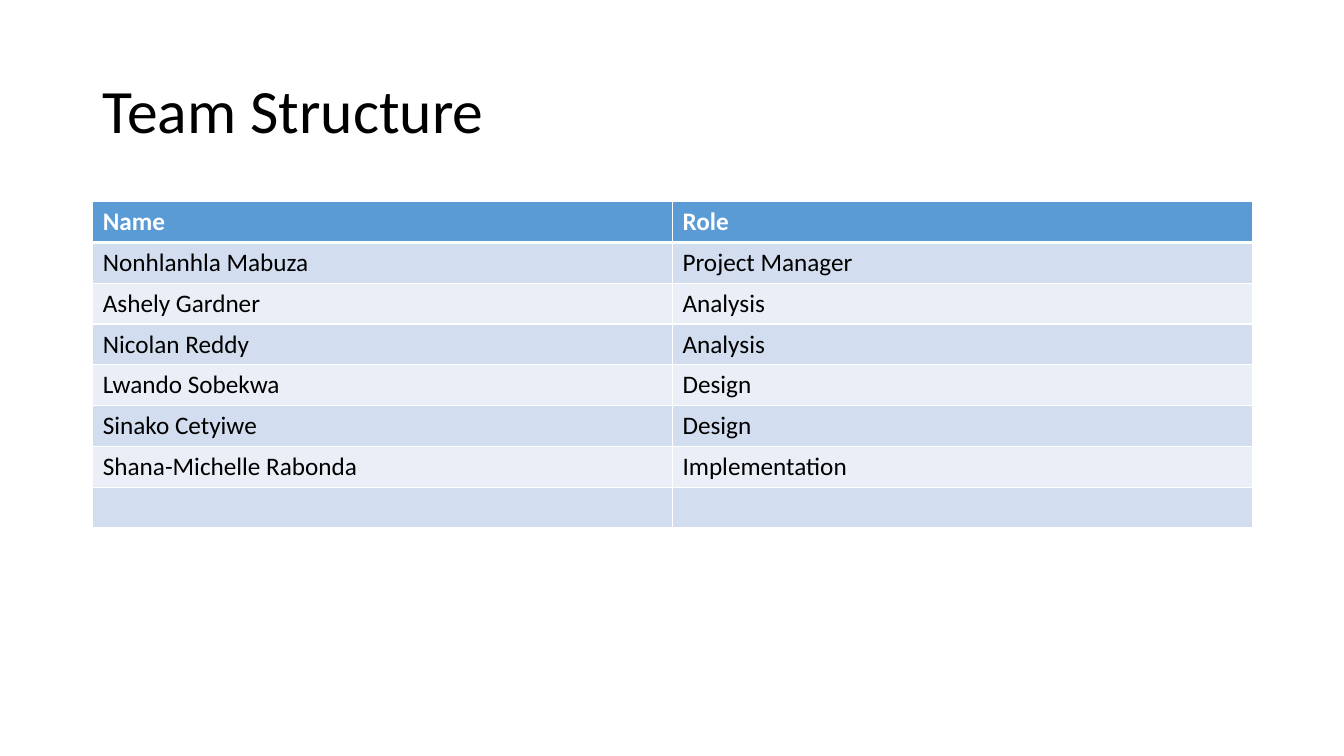
from lxml import etree
from pptx import Presentation
from pptx import util as u
from pptx.dml import color
from pptx.enum import text
from pptx.oxml import ns

FONT = "Calibri"
HUES = {
    "ink": "000000",
    "white": "FFFFFF",
    "head": "5B9BD5",
    "odd": "D2DEEF",
    "even": "EAEFF7",
}
TEAM = [
    ("Name", "Role"),
    ("Nonhlanhla Mabuza", "Project Manager"),
    ("Ashely Gardner", "Analysis"),
    ("Nicolan Reddy", "Analysis"),
    ("Lwando Sobekwa", "Design"),
    ("Sinako Cetyiwe", "Design"),
    ("Shana-Michelle Rabonda", "Implementation"),
    ("", ""),
]


def hue(name):
    return color.RGBColor.from_string(HUES[name])


def style(para, size, tint, bold=False):
    for font in [para.font] + [run.font for run in para.runs]:
        font.name = FONT
        font.size = u.Pt(size)
        font.bold = bold
        font.color.rgb = hue(tint)


def edge(cell, side, width):
    props = cell._tc.get_or_add_tcPr()
    line = etree.SubElement(props, ns.qn("a:ln" + side), w=str(u.Pt(width)))
    fill = etree.SubElement(line, ns.qn("a:solidFill"))
    etree.SubElement(fill, ns.qn("a:srgbClr"), val=HUES["white"])


def title(slide, left, top, width, height):
    box = slide.shapes.add_textbox(*map(u.Inches, (left, top, width, height)))
    frame = box.text_frame
    frame.word_wrap = True
    frame.vertical_anchor = text.MSO_ANCHOR.MIDDLE
    frame.text = "Team Structure"
    para = frame.paragraphs[0]
    para.line_spacing = 0.9
    style(para, 44, "ink")


def roster(slide, left, top, width, height):
    box = map(u.Inches, (left, top, width, height))
    table = slide.shapes.add_table(len(TEAM), len(TEAM[0]), *box).table
    for r, row in enumerate(TEAM):
        head = r == 0
        for c, word in enumerate(row):
            cell = table.cell(r, c)
            for side in "LRTB":
                thick = (r, side) in [(0, "B"), (1, "T")]
                edge(cell, side, 3 if thick else 1)
            cell.fill.solid()
            cell.fill.fore_color.rgb = hue("head" if head else "odd" if r % 2 else "even")
            cell.text_frame.text = word
            style(cell.text_frame.paragraphs[0], 18, "white" if head else "ink", head)


def main():
    deck = Presentation()
    deck.slide_width = u.Inches(13.33)
    deck.slide_height = u.Inches(7.5)
    slide = deck.slides.add_slide(deck.slide_layouts[6])
    title(slide, 0.92, 0.4, 11.5, 1.45)
    roster(slide, 0.92, 2, 11.5, 3.24)
    deck.save("out.pptx")


if __name__ == "__main__":
    main()
